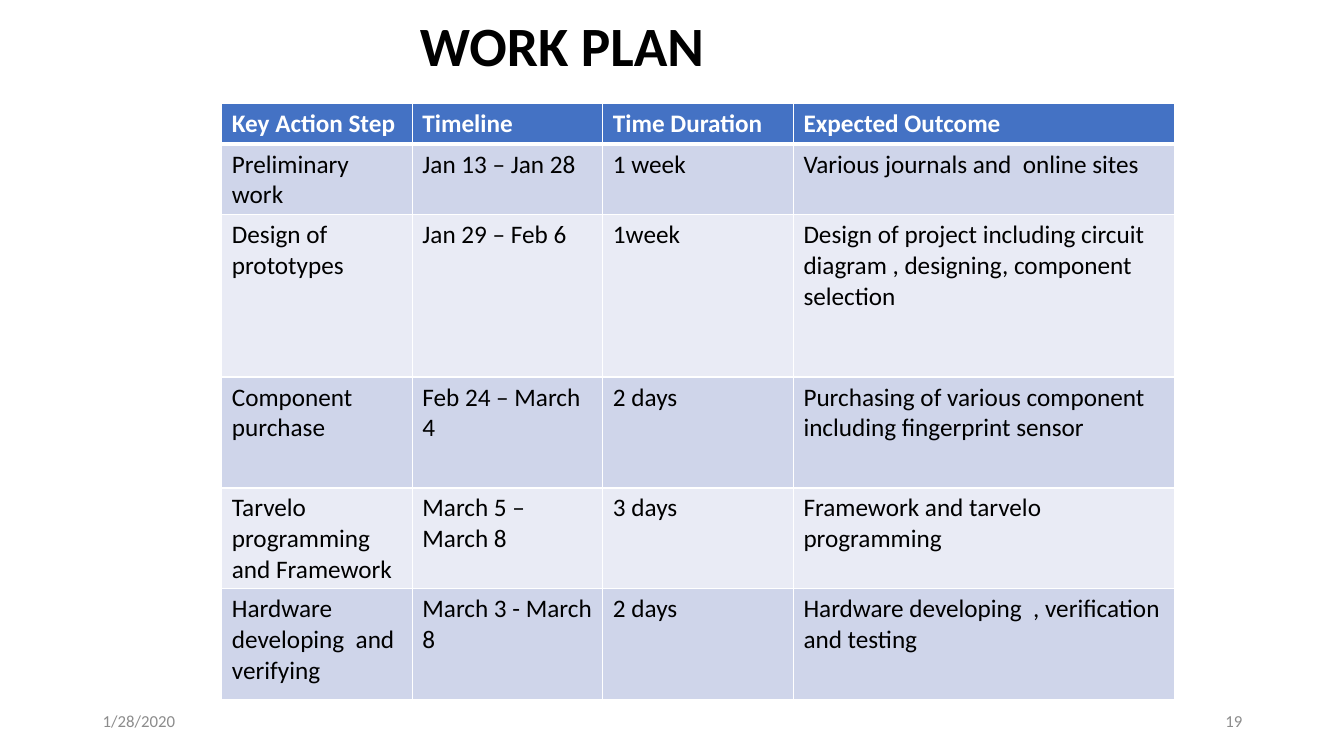
from dataclasses import dataclass

import pptx
import pptx.dml.color
import pptx.enum.text
import pptx.oxml
import pptx.oxml.ns
import pptx.util

Inches = pptx.util.Inches
ALIGN = pptx.enum.text.PP_ALIGN
MIDDLE = pptx.enum.text.MSO_ANCHOR.MIDDLE


@dataclass(frozen=True)
class Theme:
    font: str = "Calibri"
    ink: str = "000000"
    white: str = "FFFFFF"
    muted: str = "8C8C8C"
    header: str = "4472C4"
    bands: tuple[str, str] = ("CFD5EA", "E9EBF5")
    title_size: float = 39.6
    cell_size: float = 18
    footer_size: float = 12
    thin: float = 1
    thick: float = 3


@dataclass(frozen=True)
class Footer:
    text: str
    left: float
    align: ALIGN


THEME = Theme()

FOOTERS = [
    Footer("1/28/2020", 0.92, ALIGN.LEFT),
    Footer("19", 9.42, ALIGN.RIGHT),
]

COLUMN_WIDTHS = [1.89, 1.89, 1.89, 3.78]
ROW_HEIGHTS = [0.34, 0.59, 1.61, 1.1, 0.85, 1.1]
TABLE_HEIGHT = 5.92

PLAN = [
    ("Key Action Step", "Timeline", "Time Duration", "Expected Outcome"),
    ("Preliminary work", "Jan 13 – Jan 28", "1 week",
     "Various journals and  online sites"),
    ("Design of prototypes", "Jan 29 – Feb 6", "1week",
     "Design of project including circuit diagram , designing, component selection"),
    ("Component purchase", "Feb 24 – March 4", "2 days",
     "Purchasing of various component including fingerprint sensor"),
    ("Tarvelo programming and Framework", "March 5 – March 8", "3 days",
     "Framework and tarvelo programming"),
    ("Hardware developing  and verifying", "March 3 - March 8", "2 days",
     "Hardware developing  , verification and testing"),
]


def rgb(color: str) -> pptx.dml.color.RGBColor:
    return pptx.dml.color.RGBColor.from_string(color)


def write(tf, text: str, size: float, color: str, bold: bool = False,
          align: ALIGN = ALIGN.LEFT):
    """Fill the first paragraph with one formatted run and return the paragraph."""
    p = tf.paragraphs[0]
    p.alignment = align
    r = p.add_run()
    r.text = text
    values = {"name": THEME.font, "size": pptx.util.Pt(size), "bold": bold}
    for name, value in values.items():
        setattr(r.font, name, value)
    r.font.color.rgb = rgb(color)
    return p


def set_borders(cell, top: float, bottom: float) -> None:
    """Draw white borders, with top and bottom widths in points."""
    widths = {"lnL": THEME.thin, "lnR": THEME.thin, "lnT": top, "lnB": bottom}
    tc_pr = cell._tc.get_or_add_tcPr()
    for i, (tag, width) in enumerate(widths.items()):
        tc_pr.insert(i, pptx.oxml.parse_xml(
            f'<a:{tag} {pptx.oxml.ns.nsdecls("a")} w="{pptx.util.Pt(width)}">'
            f'<a:solidFill><a:srgbClr val="{THEME.white}"/></a:solidFill></a:{tag}>'))


def add_title(s) -> None:
    sp = s.shapes.title
    box = {"left": 0.48, "top": 0.13, "width": 10.19, "height": 0.71}
    for name, value in box.items():
        setattr(sp, name, Inches(value))
    tf = sp.text_frame
    tf.vertical_anchor = MIDDLE
    tf.auto_size = pptx.enum.text.MSO_AUTO_SIZE.NONE
    p = write(tf, "WORK PLAN", THEME.title_size, THEME.ink, True, ALIGN.CENTER)
    p.line_spacing = 0.9


def add_footer(s, footer: Footer) -> None:
    sp = s.shapes.add_textbox(Inches(footer.left), Inches(6.95), Inches(3), Inches(0.4))
    tf = sp.text_frame
    tf.word_wrap = True
    tf.vertical_anchor = MIDDLE
    write(tf, footer.text, THEME.footer_size, THEME.muted, align=footer.align)


def add_plan_table(s) -> None:
    frame = s.shapes.add_table(len(PLAN), len(COLUMN_WIDTHS), Inches(2.2), Inches(1.03),
                               Inches(sum(COLUMN_WIDTHS)), Inches(TABLE_HEIGHT))
    table = frame.table
    for column, width in zip(table.columns, COLUMN_WIDTHS):
        column.width = Inches(width)
    for i, (row, height, texts) in enumerate(zip(table.rows, ROW_HEIGHTS, PLAN)):
        row.height = Inches(height)
        is_header = i == 0
        fill = THEME.header if is_header else THEME.bands[(i - 1) % 2]
        color = THEME.white if is_header else THEME.ink
        top = THEME.thick if i == 1 else THEME.thin
        bottom = THEME.thick if is_header else THEME.thin
        for cell, text in zip(row.cells, texts):
            cell.fill.solid()
            cell.fill.fore_color.rgb = rgb(fill)
            set_borders(cell, top, bottom)
            write(cell.text_frame, text, THEME.cell_size, color, is_header)
    frame.height = Inches(TABLE_HEIGHT)


def main() -> None:
    prs = pptx.Presentation()
    prs.slide_width, prs.slide_height = Inches(13.33), Inches(7.5)
    s = prs.slides.add_slide(prs.slide_layouts.get_by_name("Title Only"))
    s.background.fill.solid()
    s.background.fill.fore_color.rgb = rgb(THEME.white)
    add_title(s)
    for footer in FOOTERS:
        add_footer(s, footer)
    add_plan_table(s)
    prs.save("out.pptx")


if __name__ == "__main__":
    main()
